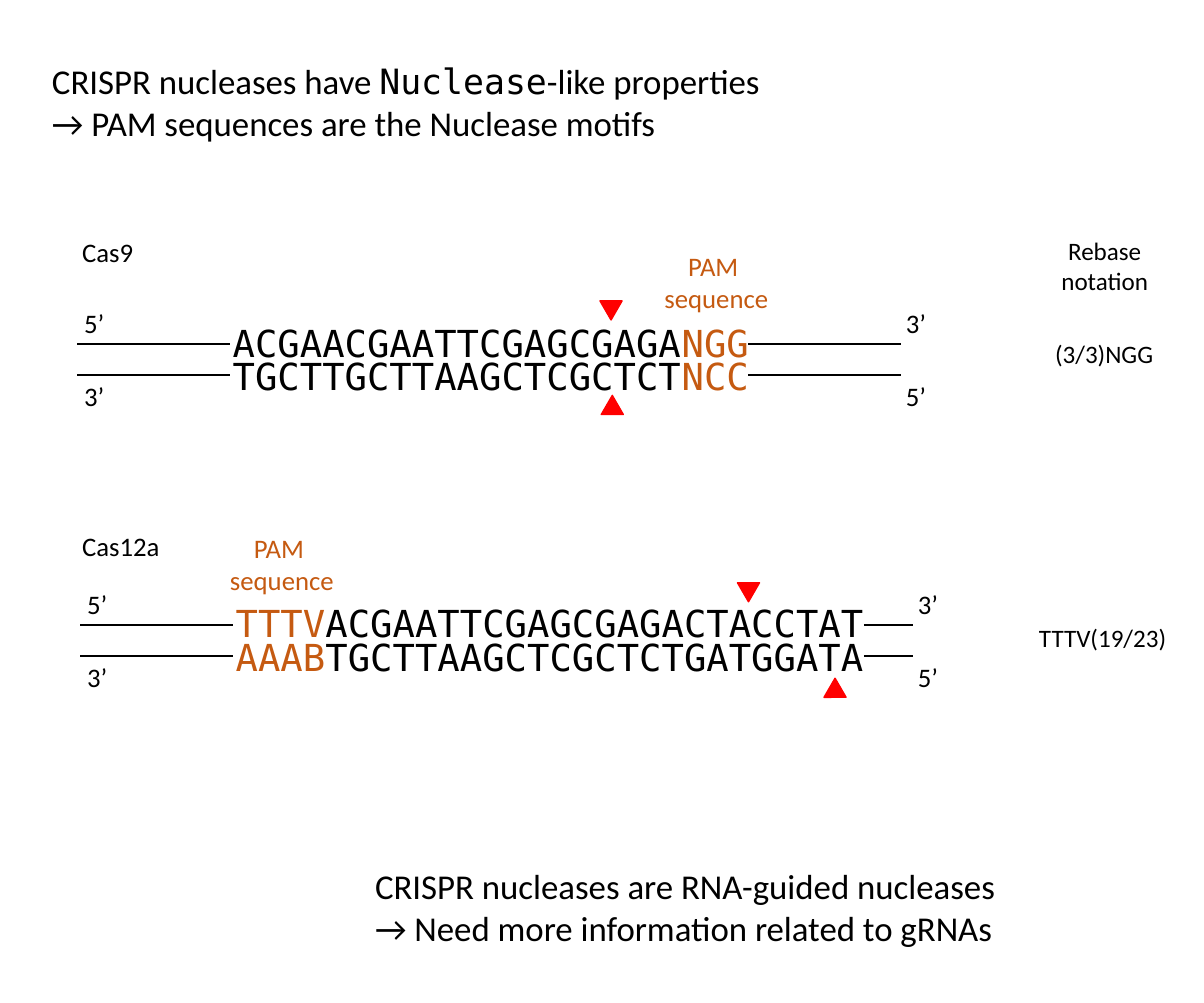
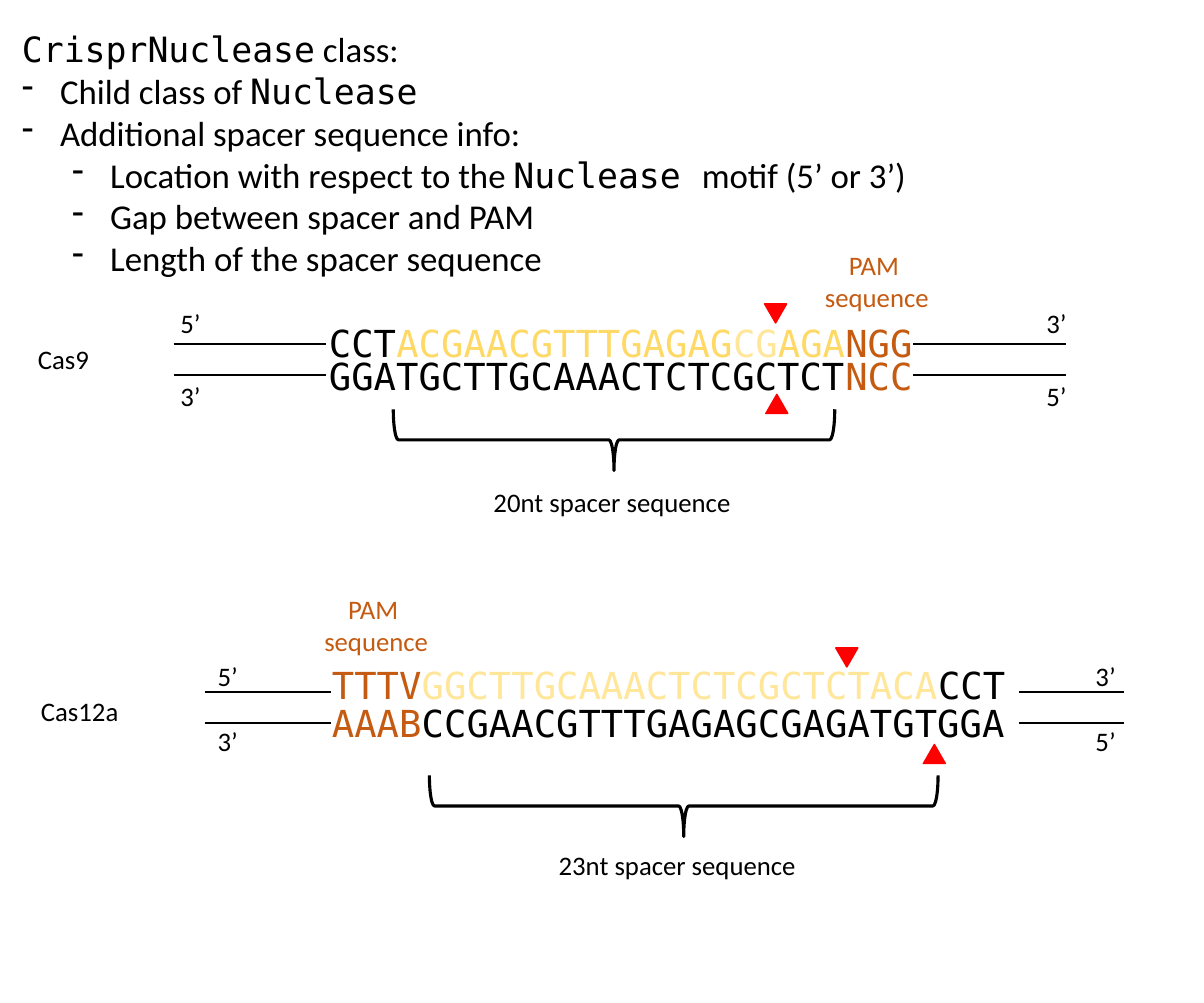
from dataclasses import dataclass

from lxml.etree import SubElement
from pptx import Presentation
from pptx.dml.color import RGBColor
from pptx.enum.shapes import MSO_CONNECTOR, MSO_SHAPE
from pptx.enum.text import MSO_AUTO_SIZE, PP_ALIGN
from pptx.oxml.ns import qn
from pptx.util import Inches, Pt

# Grid: 12 columns by 10 rows
WIDTH, HEIGHT = Inches(12), Inches(10)
COLUMN, ROW = WIDTH / 12, HEIGHT / 10

# Shared style
BLACK, RED, ORANGE = "000000", "FF0000", "C55A11"
GOLD, PALE_GOLD = "FFD966", "FFE699"
SANS, MONO = "Calibri", "DejaVu Sans Mono"
HEADING, LABEL, NOTE, BASES = 25, 19.2, 18, 26.7
WIRE_GAP = 0.31
LABEL_SIZE = (1.18, 0.42)
CUT_SIZE = (0.22, 0.19)


@dataclass
class Duplex:
    """Two paired strands; every length is in columns or rows."""
    name: str
    name_at: tuple
    left: float             # left edge of the sequence text
    wire_top: float         # height of the upper wire
    left_wire: tuple        # start and end columns
    right_wire: tuple
    end_columns: tuple      # columns of the 5’ and 3’ labels
    upper: list             # (bases, colour) pairs
    lower: list
    pam_at: tuple
    upper_cut: tuple
    lower_cut: tuple
    text_shifts: tuple = (-0.29, 0.04)
    end_shifts: tuple = (-0.42, 0.31)


def colour(value):
    return RGBColor.from_string(value)


def columns(count):
    return round(count * COLUMN)


def rows(count):
    return round(count * ROW)


def place(left, top, width, height):
    return columns(left), rows(top), columns(width), rows(height)


# Text
def add_text(page, area, lines, size, align=PP_ALIGN.LEFT, wrap=True):
    """Each line is a list of (text, colour, font) runs."""
    box = page.shapes.add_textbox(*place(*area))
    frame = box.text_frame
    frame.word_wrap = wrap
    frame.auto_size = MSO_AUTO_SIZE.SHAPE_TO_FIT_TEXT
    for index, runs in enumerate(lines):
        para = frame.add_paragraph() if index else frame.paragraphs[0]
        para.alignment = align
        for text, shade, font in runs:
            span = para.add_run()
            span.text = text
            span.font.size = Pt(size)
            span.font.name = font
            span.font.color.rgb = colour(shade)
    return box


def add_label(page, at, text, size=LABEL, extent=LABEL_SIZE,
              shade=BLACK, align=PP_ALIGN.LEFT, wrap=True):
    lines = [[(line, shade, SANS)] for line in text.split("\n")]
    add_text(page, (*at, *extent), lines, size, align, wrap)


def add_heading(page, area, lines):
    """Parts between backticks are set in the code font."""
    styled = [[(part, BLACK, MONO if index % 2 else SANS)
               for index, part in enumerate(line.split("`")) if part]
              for line in lines]
    return add_text(page, area, styled, HEADING)


def add_dash(para, level):
    para.level = level
    properties = para._p.get_or_add_pPr()
    properties.set("marL", str(Inches(0.38 + 0.5 * level)))
    properties.set("indent", str(-Inches(0.38)))
    SubElement(properties, qn("a:buChar")).set("char", "-")


# Lines and shapes
def add_wire(page, span, top):
    start, end = span
    wire = page.shapes.add_connector(MSO_CONNECTOR.STRAIGHT, columns(start),
                                     rows(top), columns(end), rows(top))
    wire.line.color.rgb = colour(BLACK)
    wire.line.width = Pt(1.75)
    SubElement(wire._element.spPr, qn("a:effectLst"))


def add_cut(page, at, rotation):
    cut = page.shapes.add_shape(MSO_SHAPE.ISOSCELES_TRIANGLE,
                                *place(*at, *CUT_SIZE))
    cut.rotation = rotation
    cut.shadow.inherit = False
    cut.fill.solid()
    cut.fill.fore_color.rgb = colour(RED)
    cut.line.color.rgb = colour(RED)
    cut.line.width = Pt(1)


def add_spacer_brace(page, left, top, span, depth=0.61):
    """A left brace turned so that its tip points down."""
    turned_left = left + (span - depth) / 2
    turned_top = top - (span - depth) / 2
    brace = page.shapes.add_shape(
        MSO_SHAPE.LEFT_BRACE, *place(turned_left, turned_top, depth, span))
    brace.rotation = 270
    brace.shadow.inherit = False
    brace.fill.background()
    brace.line.color.rgb = colour(BLACK)
    brace.line.width = Pt(2.25)


# Paired strands with wires, end labels, PAM and cut marks
def add_duplex(page, duplex):
    strands = (duplex.upper, duplex.lower)
    ends = (("5’", "3’"), ("3’", "5’"))
    for index, (bases, labels) in enumerate(zip(strands, ends)):
        text_top = duplex.wire_top + duplex.text_shifts[index]
        runs = [(text, shade, MONO) for text, shade in bases]
        add_text(page, (duplex.left, text_top, 7.81, 0.55), [runs], BASES)
        for wire in (duplex.left_wire, duplex.right_wire):
            add_wire(page, wire, duplex.wire_top + index * WIRE_GAP)
        end_top = duplex.wire_top + duplex.end_shifts[index]
        for column, label in zip(duplex.end_columns, labels):
            add_label(page, (column, end_top), label)
    add_label(page, duplex.name_at, duplex.name)
    add_label(page, duplex.pam_at, "PAM \nsequence", extent=(2.14, 0.75),
              shade=ORANGE, align=PP_ALIGN.CENTER)
    add_cut(page, duplex.upper_cut, 180)
    add_cut(page, duplex.lower_cut, 120)


def build_pam_page(page):
    add_heading(page, (0.42, 0.55, 9.14, 0.94), [
        "CRISPR nucleases have `Nuclease`-like properties",
        "→ PAM sequences are the Nuclease motifs"])
    add_duplex(page, Duplex(
        name="Cas9", name_at=(0.72, 2.3), left=2.22, wire_top=3.43,
        left_wire=(0.77, 2.29), right_wire=(7.46, 8.98),
        end_columns=(0.74, 8.93),
        upper=[("ACGAACGAATTCGAGCGAGA", BLACK), ("NGG", ORANGE)],
        lower=[("TGCTTGCTTAAGCTCGCTCT", BLACK), ("NCC", ORANGE)],
        pam_at=(6.07, 2.44), upper_cut=(5.98, 3), lower_cut=(6.02, 3.99)))
    add_duplex(page, Duplex(
        name="Cas12a", name_at=(0.72, 5.23), left=2.25, wire_top=6.23,
        left_wire=(0.8, 2.32), right_wire=(8.61, 9.1),
        end_columns=(0.77, 9.05),
        upper=[("TTTV", ORANGE), ("ACGAATTCGAGCGAGACTACCTAT", BLACK)],
        lower=[("AAAB", ORANGE), ("TGCTTAAGCTCGCTCTGATGGATA", BLACK)],
        pam_at=(1.74, 5.25), upper_cut=(7.35, 5.81), lower_cut=(8.24, 6.81)))
    # Notation column
    add_label(page, (10.47, 2.3), "Rebase\nnotation", NOTE, (1.08, 0.71),
              align=PP_ALIGN.CENTER, wrap=False)
    for text, left, top, width in (("(3/3)NGG", 10.28, 3.33, 1.45),
                                   ("TTTV(19/23)", 10.14, 6.16, 1.7)):
        add_label(page, (left, top), text, NOTE, (width, 0.4),
                  align=PP_ALIGN.CENTER)
    add_heading(page, (3.64, 8.57, 7.43, 0.94), [
        "CRISPR nucleases are RNA-guided nucleases",
        "→ Need more information related to gRNAs"])


def build_spacer_page(page):
    box = add_heading(page, (0.12, 0.23, 9.74, 2.63), [
        "`CrisprNuclease` class:",
        "Child class of `Nuclease`",
        "Additional spacer sequence info:",
        "Location with respect to the `Nuclease `motif (5’ or 3’)",
        "Gap between spacer and PAM",
        "Length of the spacer sequence"])
    for para, level in zip(box.text_frame.paragraphs[1:], (0, 0, 1, 1, 1)):
        add_dash(para, level)
    add_duplex(page, Duplex(
        name="Cas9", name_at=(0.28, 3.37), left=3.18, wire_top=3.43,
        left_wire=(1.73, 3.25), right_wire=(9.1, 10.62),
        end_columns=(1.7, 10.33),
        upper=[("CCT", BLACK), ("ACGAACGTTTGAGAG", GOLD), ("CG", PALE_GOLD),
               ("AGA", GOLD), ("NGG", ORANGE)],
        lower=[("GGATGCTTGCAAACTCTCGCTCT", BLACK), ("NCC", ORANGE)],
        pam_at=(7.67, 2.43), upper_cut=(7.62, 3.03), lower_cut=(7.66, 3.98)))
    add_duplex(page, Duplex(
        name="Cas12a", name_at=(0.31, 6.88), left=3.21, wire_top=6.9,
        left_wire=(2.04, 3.3), right_wire=(10.16, 11.2),
        end_columns=(2.07, 10.82),
        upper=[("TTTV", ORANGE), ("GGCTTGCAAACTCTCGCTCTACA", PALE_GOLD),
               ("CCT", BLACK)],
        lower=[("AAAB", ORANGE), ("CCGAACGTTTGAGAGCGAGATGTGGA", BLACK)],
        pam_at=(2.68, 5.86), upper_cut=(8.33, 6.46), lower_cut=(9.23, 7.47),
        text_shifts=(-0.35, 0.03), end_shifts=(-0.37, 0.28)))
    # Spacer lengths
    add_spacer_brace(page, 3.92, 4.08, 4.4)
    add_label(page, (4.82, 4.79), "20nt spacer sequence", extent=(3.09, 0.42))
    add_spacer_brace(page, 4.28, 7.73, 5.07)
    add_label(page, (5.47, 8.41), "23nt spacer sequence", extent=(2.97, 0.42))


def main():
    deck = Presentation()
    deck.slide_width, deck.slide_height = WIDTH, HEIGHT
    for build in (build_pam_page, build_spacer_page):
        build(deck.slides.add_slide(deck.slide_layouts[6]))
    deck.save("out.pptx")


if __name__ == "__main__":
    main()
